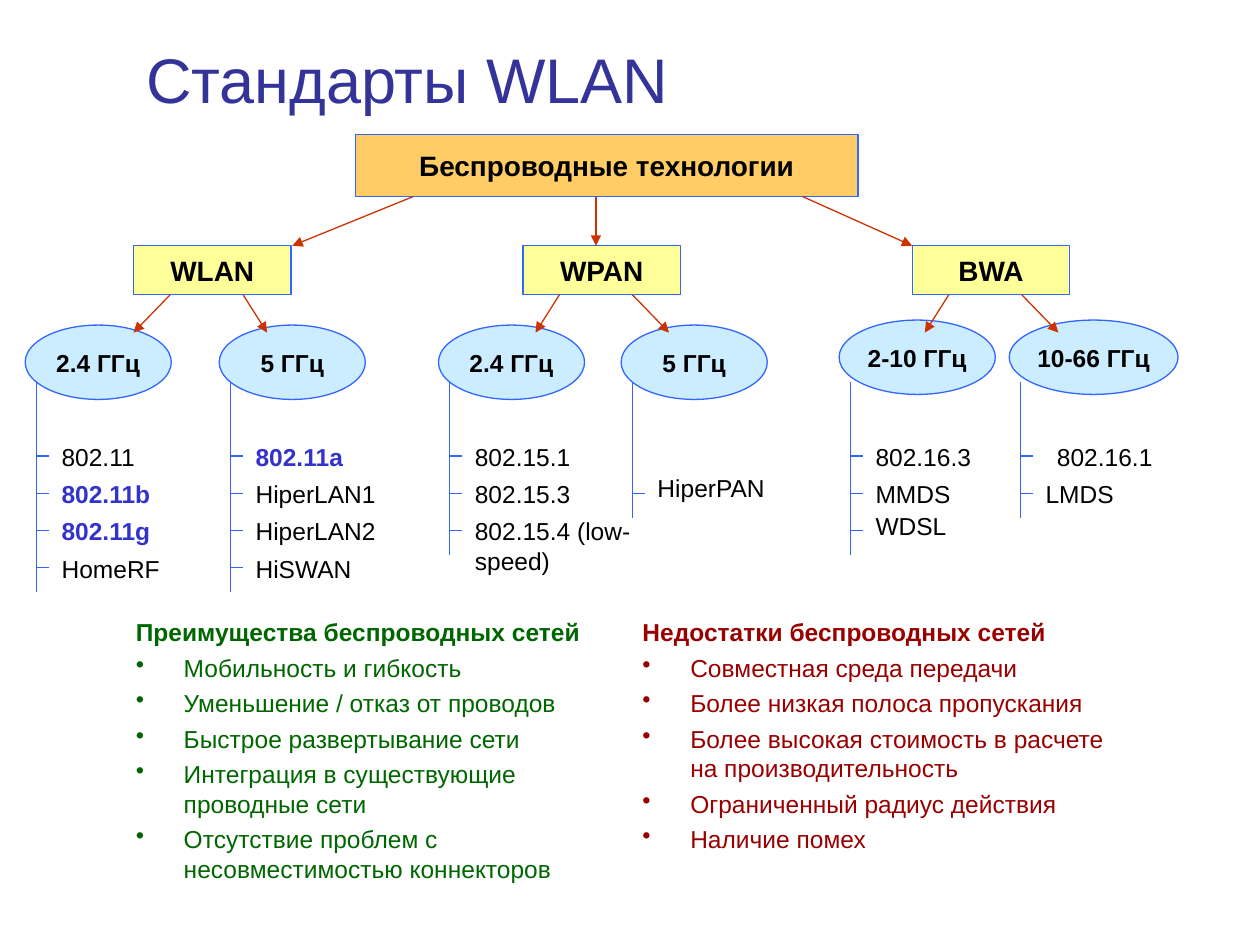
from dataclasses import dataclass

from lxml.etree import SubElement
from pptx import Presentation
from pptx.dml.color import RGBColor
from pptx.enum.shapes import MSO_CONNECTOR, MSO_SHAPE
from pptx.enum.text import MSO_ANCHOR, PP_ALIGN
from pptx.oxml.ns import qn
from pptx.util import Inches, Pt

BLACK = RGBColor(0x00, 0x00, 0x00)
INDIGO = RGBColor(0x33, 0x33, 0x99)
HIGHLIGHT = RGBColor(0x33, 0x33, 0xCC)
BLUE = RGBColor(0x33, 0x66, 0xFF)
RUST = RGBColor(0xCC, 0x33, 0x00)
ORANGE = RGBColor(0xFF, 0xCC, 0x66)
YELLOW = RGBColor(0xFF, 0xFF, 0x99)
SKY = RGBColor(0xCC, 0xEC, 0xFF)
GREEN = RGBColor(0x00, 0x66, 0x00)
RED = RGBColor(0x99, 0x00, 0x00)

FIRST_ROW, ROW_STEP = 3.46, 0.295
TICK = 0.1
BRANCH_TOP, BRANCH_WIDTH, BRANCH_HEIGHT = 1.95, 1.25, 0.39
BAND_HEIGHT = 0.59


@dataclass
class Standard:
    """A leaf of the tree; shifts move its label off the regular row grid."""
    name: str
    row: int
    marked: bool = False
    width: float = 1.25
    shift_x: float = 0
    shift_y: float = 0


@dataclass
class Band:
    label: str
    spine: float
    top: float
    width: float
    standards: list


BRANCHES = [("WLAN", 1.06), ("WPAN", 4.15), ("BWA", 7.24)]

BANDS = [
    Band("2.4 ГГц", 0.29, 2.58, 1.16, [
        Standard("802.11", 0), Standard("802.11b", 1, marked=True),
        Standard("802.11g", 2, marked=True), Standard("HomeRF", 3)]),
    Band("5 ГГц", 1.83, 2.58, 1.16, [
        Standard("802.11a", 0, marked=True), Standard("HiperLAN1", 1, width=1.45),
        Standard("HiperLAN2", 2, width=1.45), Standard("HiSWAN", 3)]),
    Band("2.4 ГГц", 3.57, 2.58, 1.16, [
        Standard("802.15.1", 0), Standard("802.15.3", 1),
        Standard("802.15.4 (low-speed)", 2, width=1.59)]),
    Band("5 ГГц", 5.02, 2.58, 1.16, [
        Standard("HiperPAN", 1, width=1.44, shift_y=-0.05)]),
    Band("2-10 ГГц", 6.75, 2.54, 1.24, [
        Standard("802.16.3", 0), Standard("MMDS", 1),
        Standard("WDSL", 2, shift_y=-0.04)]),
    Band("10-66 ГГц", 8.1, 2.54, 1.34, [
        Standard("802.16.1", 0, shift_x=0.09), Standard("LMDS", 1, width=1.45)]),
]

ADVANTAGES = [
    "Мобильность и гибкость",
    "Уменьшение / отказ от проводов",
    "Быстрое развертывание сети",
    "Интеграция в существующие проводные сети",
    "Отсутствие проблем с несовместимостью коннекторов",
]
DRAWBACKS = [
    "Совместная среда передачи",
    "Более низкая полоса пропускания",
    "Более высокая стоимость в расчете на производительность",
    "Ограниченный радиус действия",
    "Наличие помех",
]


class SlideBuilder:
    font_name = "Arial"
    line_width = Pt(0.75)

    def __init__(self, slide):
        self.slide = slide

    def run(self, paragraph, text, size, color=BLACK, bold=False):
        run = paragraph.add_run()
        run.text = text
        run.font.name = self.font_name
        run.font.size = Pt(size)
        run.font.bold = bold
        run.font.color.rgb = color

    def title(self, text, left, top, width, height):
        title = self.slide.shapes.title
        title.left, title.top = Inches(left), Inches(top)
        title.width, title.height = Inches(width), Inches(height)
        title.text_frame.vertical_anchor = MSO_ANCHOR.BOTTOM
        paragraph = title.text_frame.paragraphs[0]
        paragraph.alignment = PP_ALIGN.LEFT
        self.run(paragraph, text, 36, INDIGO)

    def node(self, kind, text, left, top, width, height, fill, size):
        node = self.slide.shapes.add_shape(
            kind, Inches(left), Inches(top), Inches(width), Inches(height))
        node.shadow.inherit = False
        node.fill.solid()
        node.fill.fore_color.rgb = fill
        node.line.color.rgb = BLUE
        node.line.width = self.line_width
        frame = node.text_frame
        frame.word_wrap = False
        frame.vertical_anchor = MSO_ANCHOR.MIDDLE
        paragraph = frame.paragraphs[0]
        paragraph.alignment = PP_ALIGN.CENTER
        self.run(paragraph, text, size, bold=True)

    def line(self, x1, y1, x2, y2, color=BLUE):
        line = self.slide.shapes.add_connector(
            MSO_CONNECTOR.STRAIGHT, Inches(x1), Inches(y1), Inches(x2), Inches(y2))
        line.line.color.rgb = color
        line.line.width = self.line_width
        SubElement(line._element.spPr, qn("a:effectLst"))
        return line

    def arrow(self, x1, y1, x2, y2):
        arrow = self.line(x1, y1, x2, y2, RUST)
        SubElement(arrow.line._get_or_add_ln(), qn("a:tailEnd"), type="triangle")

    def text_frame(self, left, top, width, height):
        box = self.slide.shapes.add_textbox(
            Inches(left), Inches(top), Inches(width), Inches(height))
        box.text_frame.word_wrap = True
        return box.text_frame

    def band(self, band):
        """Frequency ellipse with a spine, ticks and the standards below it."""
        self.node(MSO_SHAPE.OVAL, band.label, band.spine - 0.09, band.top,
                  band.width, BAND_HEIGHT, SKY, 14)
        row_count = band.standards[-1].row + 1
        self.line(band.spine, 3.03, band.spine, 3.52 + ROW_STEP * row_count)
        for standard in band.standards:
            row_top = FIRST_ROW + ROW_STEP * standard.row
            tick_y = row_top + 0.16
            self.line(band.spine, tick_y, band.spine + TICK, tick_y)
            frame = self.text_frame(band.spine + TICK + standard.shift_x,
                                    row_top + standard.shift_y, standard.width, 0.34)
            self.run(frame.paragraphs[0], standard.name, 14,
                     HIGHLIGHT if standard.marked else BLACK, standard.marked)

    def bullet_list(self, heading, points, left, width, color):
        frame = self.text_frame(left, 4.85, width, 2.27)
        self.run(frame.paragraphs[0], heading, 14, color, bold=True)
        for point in points:
            paragraph = frame.add_paragraph()
            properties = paragraph._p.get_or_add_pPr()
            properties.set("marL", str(Inches(0.38)))
            properties.set("indent", str(-Inches(0.38)))
            SubElement(properties, qn("a:buChar"), char="•")
            paragraph.space_before = Pt(3.5)
            self.run(paragraph, point, 14, color)


def main():
    presentation = Presentation()
    presentation.slide_width, presentation.slide_height = Inches(10), Inches(7.5)
    slide = SlideBuilder(presentation.slides.add_slide(presentation.slide_layouts[5]))

    slide.title("Стандарты WLAN", 1.06, 0.28, 8.52, 0.69)
    slide.node(MSO_SHAPE.RECTANGLE, "Беспроводные технологии",
               2.82, 1.07, 3.99, 0.49, ORANGE, 16)
    for band in BANDS:
        slide.band(band)

    branch_bottom = BRANCH_TOP + BRANCH_HEIGHT
    for name, left in BRANCHES:
        slide.node(MSO_SHAPE.RECTANGLE, name, left, BRANCH_TOP,
                   BRANCH_WIDTH, BRANCH_HEIGHT, YELLOW, 16)
        slide.arrow(left + 0.29, branch_bottom, left + 0.1 - 0.1 * (left < 4), 2.64)
        slide.arrow(left + 0.87, branch_bottom, left + 1.06 + 0.1 * (left > 4), 2.64)
    for start_x, end_x in [(3.28, 2.32), (4.73, 4.73), (6.37, 7.24)]:
        slide.arrow(start_x, 1.56, end_x, BRANCH_TOP)

    slide.bullet_list("Преимущества беспроводных сетей", ADVANTAGES, 0.98, 4.02, GREEN)
    slide.bullet_list("Недостатки беспроводных сетей", DRAWBACKS, 5, 3.92, RED)
    presentation.save("out.pptx")


if __name__ == "__main__":
    main()
